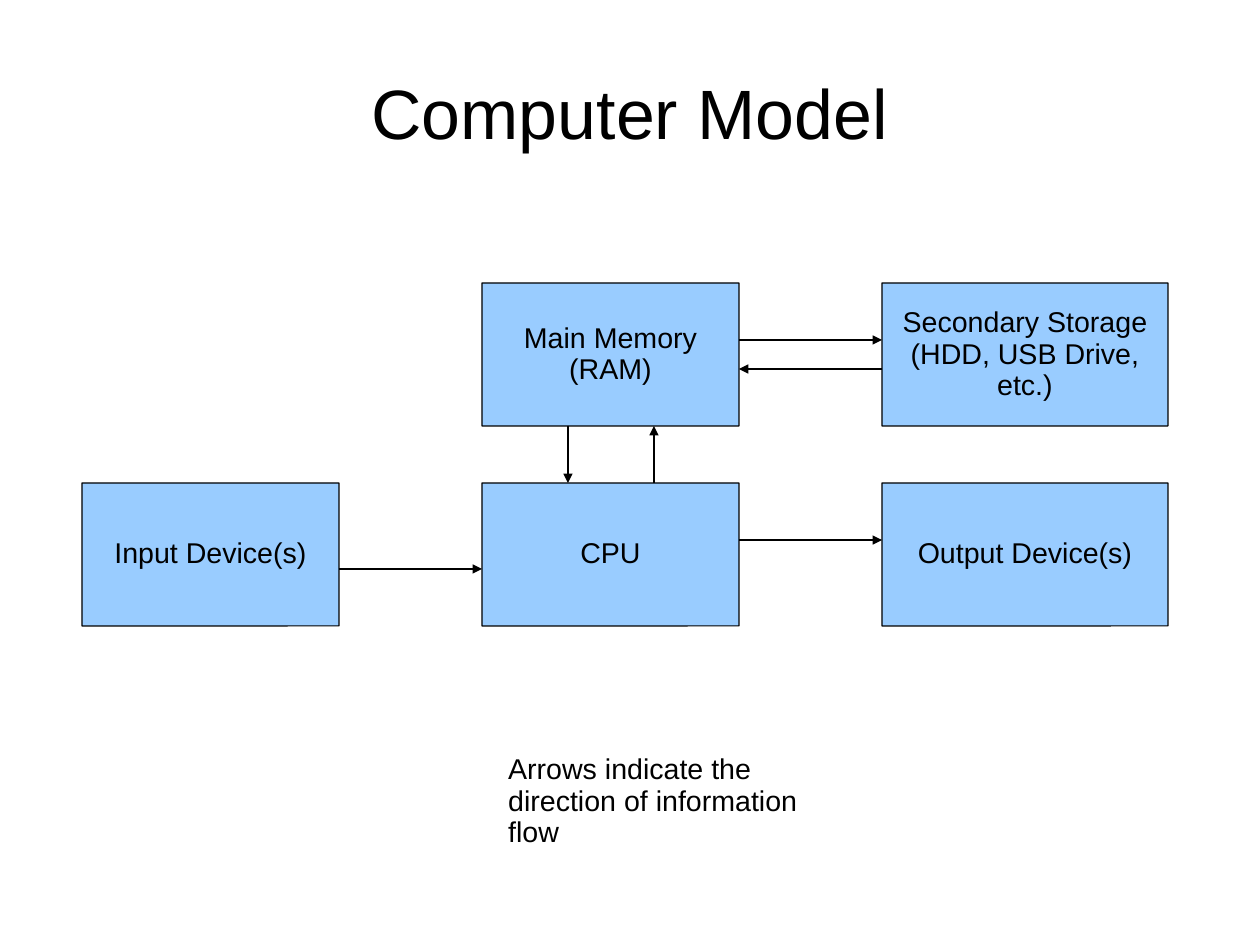
from dataclasses import dataclass

from lxml.etree import SubElement
from pptx import Presentation
from pptx.dml.color import RGBColor
from pptx.enum.shapes import MSO_CONNECTOR, MSO_SHAPE
from pptx.enum.text import MSO_ANCHOR, PP_ALIGN
from pptx.oxml.ns import qn
from pptx.util import Pt

PX = 8000  # EMU: 1260 by 945 px make 28 by 21 cm


@dataclass(frozen=True)
class Theme:
    font: str = "Arial"
    ink: RGBColor = RGBColor(0x00, 0x00, 0x00)
    box_fill: RGBColor = RGBColor(0x99, 0xCC, 0xFF)
    title_size: Pt = Pt(44)
    body_size: Pt = Pt(18)
    line_width: Pt = Pt(0.75)
    line_spacing: float = 0.93


theme = Theme()


def write(shape, text, size, align, anchor):
    frame = shape.text_frame
    frame.text = text
    frame.word_wrap = True
    frame.vertical_anchor = anchor
    paragraph = frame.paragraphs[0]
    paragraph.alignment = align
    paragraph.line_spacing = theme.line_spacing
    font = paragraph.runs[0].font
    font.name = theme.font
    font.size = size
    font.color.rgb = theme.ink


def outline(shape):
    shape.line.color.rgb = theme.ink
    shape.line.width = theme.line_width


prs = Presentation()
prs.slide_width, prs.slide_height = 1260 * PX, 945 * PX
slide = prs.slides.add_slide(prs.slide_layouts[6])
shapes = slide.shapes

title = shapes.add_textbox(63 * PX, 37 * PX, 1134 * PX, 158 * PX)
write(title, "Computer Model", theme.title_size, PP_ALIGN.CENTER, MSO_ANCHOR.MIDDLE)
title_frame = title.text_frame
title_frame.margin_left = title_frame.margin_right = 0
title_frame.margin_top = title_frame.margin_bottom = 0

# Three columns, two rows
input_x, core_x, outer_x = (82 + 400 * column for column in range(3))
memory_y, cpu_y = 283, 483
core_width, outer_width, unit_height = 257, 286, 143

units = [
    ("Input Device(s)", input_x, cpu_y, core_width),
    ("CPU", core_x, cpu_y, core_width),
    ("Main Memory (RAM)", core_x, memory_y, core_width),
    ("Output Device(s)", outer_x, cpu_y, outer_width),
    ("Secondary Storage (HDD, USB Drive, etc.)", outer_x, memory_y, outer_width),
]
for name, x, y, width in units:
    unit = shapes.add_shape(
        MSO_SHAPE.ROUNDED_RECTANGLE, x * PX, y * PX, width * PX, unit_height * PX
    )
    unit.adjustments[0] = 0.001
    unit.shadow.inherit = False
    unit.fill.solid()
    unit.fill.fore_color.rgb = theme.box_fill
    outline(unit)
    write(unit, name, theme.body_size, PP_ALIGN.CENTER, MSO_ANCHOR.MIDDLE)

input_right = input_x + core_width
core_right = core_x + core_width
memory_bottom = memory_y + unit_height

flows = [
    (input_right, cpu_y + 86, core_x, cpu_y + 86),
    (core_right, cpu_y + 57, outer_x, cpu_y + 57),
    (core_x + 86, memory_bottom, core_x + 86, cpu_y),
    (core_x + 172, cpu_y, core_x + 172, memory_bottom),
    (core_right, memory_y + 57, outer_x, memory_y + 57),
    (outer_x, memory_y + 86, core_right, memory_y + 86),
]
for flow in flows:
    arrow = shapes.add_connector(MSO_CONNECTOR.STRAIGHT, *(value * PX for value in flow))
    outline(arrow)
    SubElement(arrow.line._get_or_add_ln(), qn("a:tailEnd"), type="triangle")
    SubElement(arrow._element.spPr, qn("a:effectLst"))

legend = shapes.add_textbox(497 * PX, 748 * PX, 314 * PX, 107 * PX)
write(
    legend,
    "Arrows indicate the direction of information flow",
    theme.body_size,
    PP_ALIGN.LEFT,
    MSO_ANCHOR.TOP,
)

prs.save("out.pptx")
